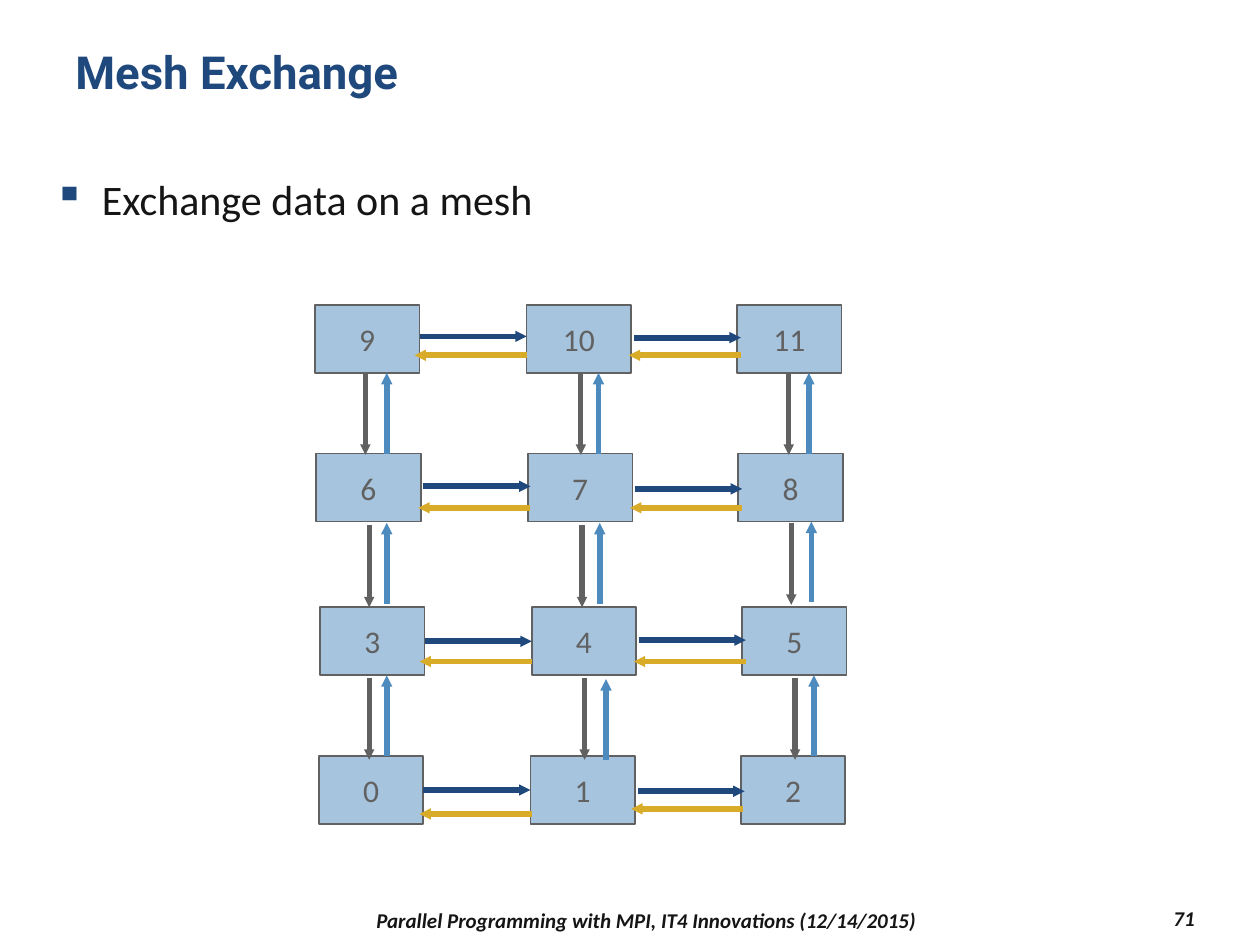
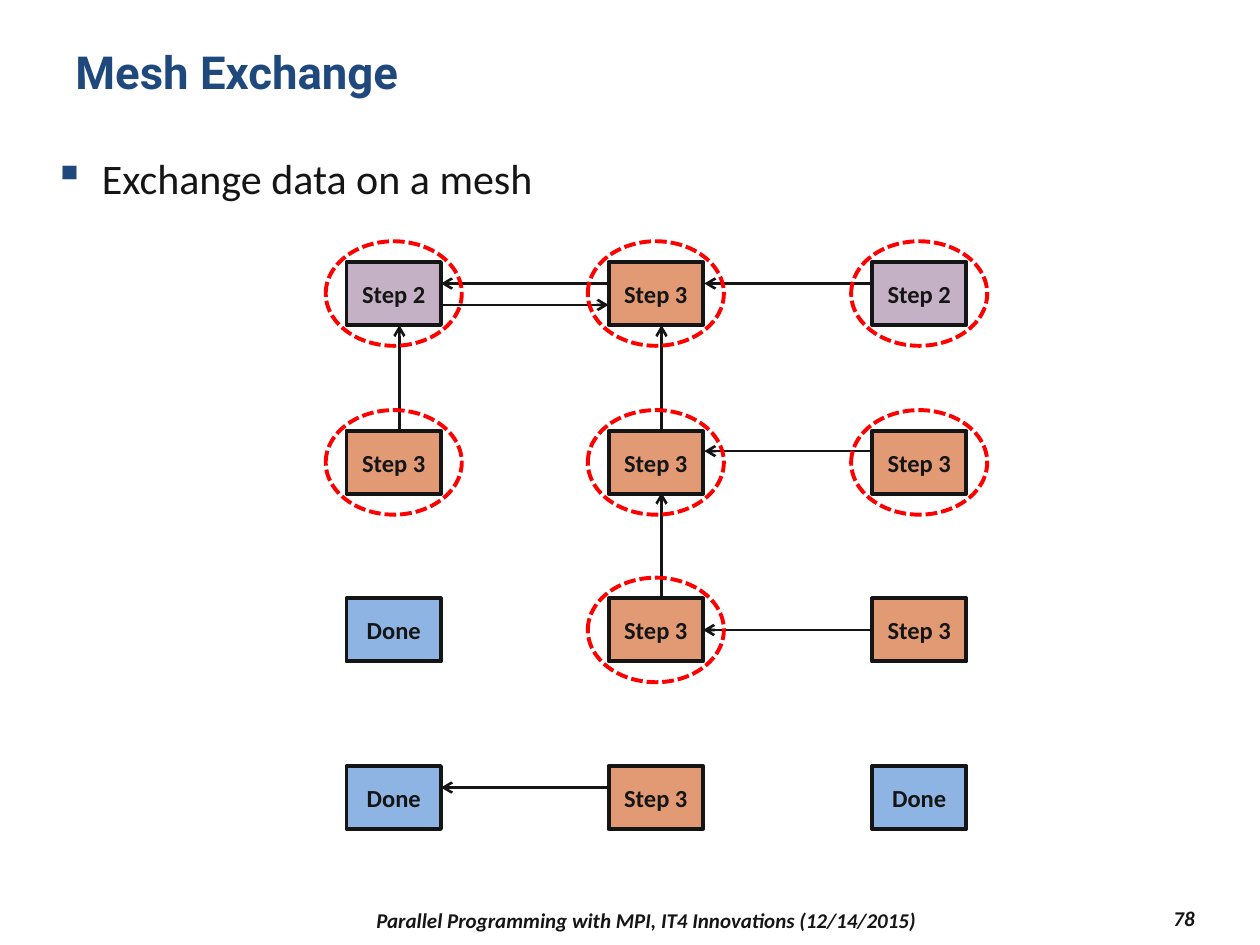
from typing import NamedTuple, Optional

from lxml.etree import SubElement
from pptx import Presentation
from pptx.dml.color import RGBColor
from pptx.enum.dml import MSO_LINE
from pptx.enum.shapes import MSO_CONNECTOR, MSO_SHAPE
from pptx.enum.text import MSO_ANCHOR, PP_ALIGN
from pptx.oxml.ns import qn
from pptx.util import Inches, Pt

# Shared look
NAVY, INK, GRAY = "1F497D", "151515", "616161"
BLUE, GOLD, RED = "4D8ABE", "D8AC28", "FF0000"
NODE_FILL = "A6C4DE"
STATE_FILLS = {"Step 2": "C4B1C5", "Step 3": "E29A75", "Done": "8EB4E3"}
FOOTER = "Parallel Programming with MPI, IT4 Innovations (12/14/2015)"
JOIN_TOLERANCE = 0.012


class Box(NamedTuple):
    left: float
    top: float
    width: float
    height: float

    def side_middles(self) -> list[tuple[float, float]]:
        """Middles of the sides, in connection order: top, left, bottom, right."""
        x, y = self.left + self.width / 2, self.top + self.height / 2
        return [(x, self.top), (self.left, y),
                (x, self.top + self.height), (self.left + self.width, y)]


class Node(NamedTuple):
    box: Box
    shape: object


class Arrow(NamedTuple):
    x: float
    y: float
    dx: float
    dy: float


class ArrowStyle(NamedTuple):
    color: str
    width: float
    head: str
    head_size: str


class Flow(NamedTuple):
    style: ArrowStyle
    dx: float
    dy: float
    starts: list[tuple[float, float]]


def rgb(color: str) -> RGBColor:
    return RGBColor.from_string(color)


def inches(*lengths: float) -> list:
    return [Inches(length) for length in lengths]


def write(shape, text: str, *, size: float, color: str = INK, font: str = "Calibri",
          bold: bool = False, italic: bool = False, align=PP_ALIGN.LEFT,
          anchor=MSO_ANCHOR.TOP, wrap: bool = True, bullet: Optional[str] = None) -> None:
    frame = shape.text_frame
    frame.word_wrap = wrap
    frame.vertical_anchor = anchor
    paragraph = frame.paragraphs[0]
    paragraph.alignment = align
    if bullet:
        paragraph.line_spacing = 1.2
        properties = paragraph._p.get_or_add_pPr()
        properties.set("marL", str(Inches(0.38)))
        properties.set("indent", str(-Inches(0.38)))
        bullet_color = SubElement(properties, qn("a:buClr"))
        SubElement(bullet_color, qn("a:srgbClr"), val=NAVY)
        SubElement(properties, qn("a:buChar"), char=bullet)
    run = paragraph.add_run()
    run.text = text
    run.font.name, run.font.size = font, Pt(size)
    run.font.bold, run.font.italic = bold, italic
    run.font.color.rgb = rgb(color)


def add_text(slide, box: Box, text: str, **text_format) -> None:
    write(slide.shapes.add_textbox(*inches(*box)), text, **text_format)


def add_outline(slide, kind, box: Box, line: str, width: float, fill: Optional[str] = None):
    shape = slide.shapes.add_shape(kind, *inches(*box))
    shape.shadow.inherit = False
    if fill:
        shape.fill.solid()
        shape.fill.fore_color.rgb = rgb(fill)
    else:
        shape.fill.background()
    shape.line.color.rgb = rgb(line)
    shape.line.width = Pt(width)
    return shape


def add_node(slide, box: Box, label: str, fill: str, line: str, width: float,
             **text_format) -> Node:
    shape = add_outline(slide, MSO_SHAPE.RECTANGLE, box, line, width, fill)
    write(shape, label, align=PP_ALIGN.CENTER, anchor=MSO_ANCHOR.MIDDLE, **text_format)
    return Node(box, shape)


def find_joint(nodes: list[Node], x: float, y: float) -> Optional[tuple]:
    """The node shape and side whose middle lies at this point, if any."""
    for node in nodes:
        for side, (side_x, side_y) in enumerate(node.box.side_middles()):
            if max(abs(side_x - x), abs(side_y - y)) < JOIN_TOLERANCE:
                return node.shape, side
    return None


def add_arrow(slide, arrow: Arrow, style: ArrowStyle, nodes: list[Node]) -> None:
    start = arrow.x, arrow.y
    end = arrow.x + arrow.dx, arrow.y + arrow.dy
    connector = slide.shapes.add_connector(MSO_CONNECTOR.STRAIGHT, *inches(*start, *end))
    connector.line.color.rgb = rgb(style.color)
    connector.line.width = Pt(style.width)
    SubElement(connector.line._get_or_add_ln(), qn("a:tailEnd"),
               type=style.head, w=style.head_size, len=style.head_size)
    SubElement(connector._element.spPr, qn("a:effectLst"))
    joints = find_joint(nodes, *start), find_joint(nodes, *end)
    if all(joints):
        connector.begin_connect(*joints[0])
        connector.end_connect(*joints[1])


def add_base_slide(deck, number: str, bullet_top: float):
    slide = deck.slides.add_slide(deck.slide_layouts[6])
    add_text(slide, Box(0.5, 0.3, 9, 0.87), "Mesh Exchange",
             size=26, font="Roboto", color=NAVY, bold=True)
    add_text(slide, Box(0.33, bullet_top, 9.33, 0.76), "Exchange data on a mesh",
             size=24, bullet="▪")
    small = dict(size=12, bold=True, italic=True, anchor=MSO_ANCHOR.MIDDLE)
    add_text(slide, Box(2.17, 7.17, 5.92, 0.27), FOOTER, align=PP_ALIGN.CENTER, **small)
    add_text(slide, Box(8.5, 7.15, 1.08, 0.27), number, align=PP_ALIGN.RIGHT, **small)
    return slide


def build_full_exchange(deck) -> None:
    slide = add_base_slide(deck, "71", 1.25)

    # Numbered mesh, highest row first
    row_origins = [(2.5, 2.42), (2.51, 3.6), (2.54, 4.82), (2.53, 6)]
    column_offsets = [0, 1.68, 3.35]
    nodes = []
    for row, (left, top) in enumerate(row_origins):
        for column, offset in enumerate(column_offsets):
            nodes.append(add_node(
                slide, Box(left + offset, top, 0.83, 0.54), str(3 * (3 - row) + column),
                NODE_FILL, GRAY, 1, size=18, color=GRAY, wrap=False))

    # Exchange in the four directions
    down = ArrowStyle(GRAY, 3, "triangle", "sm")
    right, up, left = [ArrowStyle(color, 3.25, "triangle", "sm")
                       for color in (NAVY, BLUE, GOLD)]
    flows = [
        Flow(down, 0, 0.65, [(2.9, 2.96), (4.61, 2.96), (6.26, 2.96),
                             (2.93, 4.17), (4.62, 4.17), (6.28, 4.15),
                             (2.93, 5.38), (4.64, 5.38), (6.31, 5.38)]),
        Flow(right, 0.85, 0, [(3.33, 2.67), (5.03, 2.68), (3.36, 3.86), (5.04, 3.88),
                              (3.38, 5.08), (5.07, 5.08), (3.36, 6.26), (5.06, 6.28)]),
        Flow(up, 0, -0.64, [(3.07, 3.6), (4.75, 3.6), (6.42, 3.6),
                            (3.07, 4.79), (4.76, 4.79), (6.44, 4.78),
                            (3.07, 6), (4.81, 6.03), (6.46, 6)]),
        Flow(left, -0.89, 0, [(4.18, 2.82), (5.88, 2.82), (4.21, 4.03), (5.89, 4.03),
                              (4.22, 5.25), (5.92, 5.25), (4.22, 6.46), (5.9, 6.42)]),
    ]
    for flow in flows:
        for x, y in flow.starts:
            add_arrow(slide, Arrow(x, y, flow.dx, flow.dy), flow.style, nodes)


def build_step_state(deck) -> None:
    slide = add_base_slide(deck, "78", 1.08)

    # Progress of each process
    lefts = [2.75, 4.83, 6.92]
    tops = [2.08, 3.42, 4.75, 6.08]
    states = [("Step 2", "Step 3", "Step 2"),
              ("Step 3", "Step 3", "Step 3"),
              ("Done", "Step 3", "Step 3"),
              ("Done", "Step 3", "Done")]
    nodes = []
    for top, row in zip(tops, states):
        for left, state in zip(lefts, row):
            nodes.append(add_node(slide, Box(left, top, 0.75, 0.5), state,
                                  STATE_FILLS[state], INK, 2.25, size=14, bold=True))

    # Messages still under way
    message = ArrowStyle(INK, 1.5, "arrow", "med")
    across, upward = 1.33, -0.84
    for arrow in [
        Arrow(5.25, 3.42, 0, upward), Arrow(5.25, 4.75, 0, upward),
        Arrow(3.17, 3.42, 0, upward), Arrow(4.83, 6.25, -across, 0),
        Arrow(6.92, 3.58, -across, 0), Arrow(6.92, 5, -across, 0),
        Arrow(4.83, 2.25, -across, 0), Arrow(3.5, 2.42, across, 0),
        Arrow(6.92, 2.25, -across, 0),
    ]:
        add_arrow(slide, arrow, message, nodes)

    # Rings around the waiting processes
    ring_width, ring_height = 1.08, 0.83
    for index in (0, 1, 2, 3, 4, 5, 7):
        box = nodes[index].box
        ring = add_outline(slide, MSO_SHAPE.OVAL, Box(
            box.left + (box.width - ring_width) / 2,
            box.top + (box.height - ring_height) / 2,
            ring_width, ring_height), RED, 2.25)
        ring.line.dash_style = MSO_LINE.SQUARE_DOT


def main() -> None:
    deck = Presentation()
    deck.slide_width, deck.slide_height = inches(10, 7.5)
    build_full_exchange(deck)
    build_step_state(deck)
    deck.save("out.pptx")


if __name__ == "__main__":
    main()
